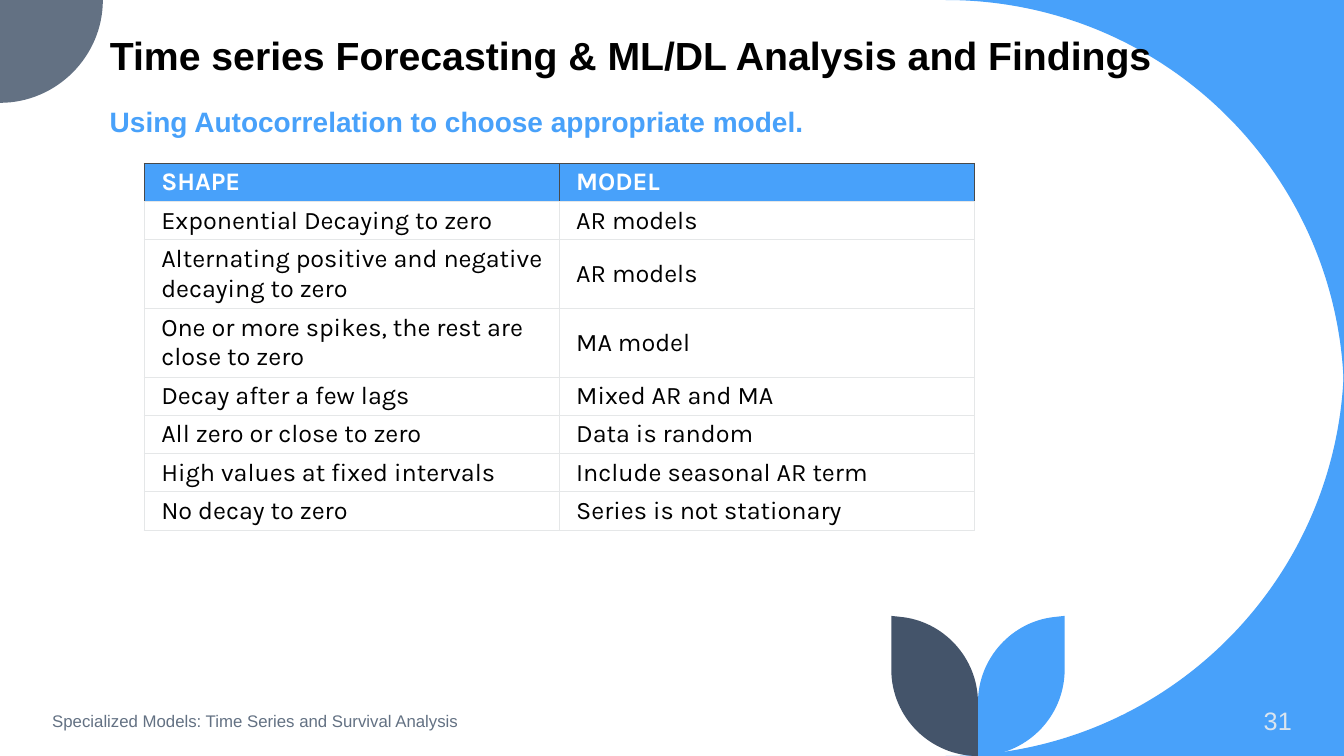
from lxml import etree
from pptx import Presentation
from pptx.dml.color import RGBColor
from pptx.enum.text import MSO_ANCHOR, MSO_AUTO_SIZE, PP_ALIGN
from pptx.oxml.ns import qn
from pptx.util import Inches, Pt

MIDDLE, BOTTOM = MSO_ANCHOR.MIDDLE, MSO_ANCHOR.BOTTOM
LEFT, RIGHT = PP_ALIGN.LEFT, PP_ALIGN.RIGHT
NO_FIT = MSO_AUTO_SIZE.NONE

COLORS = {"blue": "48A1FA", "slate": "637183", "navy": "44546A",
          "black": "000000", "white": "FFFFFF", "pale": "DAE5EF",
          "rule": "E5E7E8", "dark": "48494A"}
WIDE, HIGH = 13.33, 7.5

TITLE = "Time series Forecasting & ML/DL Analysis and Findings"
LEAD = "Using Autocorrelation to choose appropriate model."
FOOTER = "Specialized Models: Time Series and Survival Analysis"
NUMBER = "31"
ROWS = [
    ("SHAPE", "MODEL"),
    ("Exponential Decaying to zero", "AR models"),
    ("Alternating positive and negative decaying to zero", "AR models"),
    ("One or more spikes, the rest are close to zero", "MA model"),
    ("Decay after a few lags", "Mixed AR and MA"),
    ("All zero or close to zero", "Data is random"),
    ("High values at fixed intervals", "Include seasonal AR term"),
    ("No decay to zero", "Series is not stationary"),
]
TALL = {2, 3}  # rows whose text takes two lines

# Outlines: two numbers are a corner, six are a Bezier curve
CORNER = [(WIDE, 0), (9.38, 0), (11.57, 0, WIDE, 1.77, WIDE, 3.95)]
DISC = [(0, 0), (1.02, 0), (1.02, 0.56, 0.56, 1.02, 0, 1.02)]
LEAF = [(10.56, 6.11), (10.56, 6.64), (10.56, 7.12, 10.17, 7.5, 9.7, 7.5),
        (9.7, 6.97), (9.7, 6.53, 10.04, 6.16, 10.47, 6.12)]
STEM = 9.7


def mirror(outline, x=None, y=None):
    axes = (x, y)
    return [tuple(v if axes[i % 2] is None else 2 * axes[i % 2] - v
                  for i, v in enumerate(part)) for part in outline]


def draw(slide, outline, color):
    dots = [(Inches(part[i]), Inches(part[i + 1]))
            for part in outline for i in range(0, len(part), 2)]
    pen = slide.shapes.build_freeform(*dots[0])
    pen.add_line_segments(dots[1:], close=True)
    shape = pen.convert_to_shape()
    shape.shadow.inherit = False
    shape.fill.solid()
    shape.fill.fore_color.rgb = RGBColor.from_string(COLORS[color])
    shape.line.fill.background()

    # Join the three points of each curve into one Bezier segment
    lines = iter(list(shape.element.iter(qn("a:lnTo"))))
    for part in outline[1:]:
        first = next(lines)
        if len(part) == 6:
            first.tag = qn("a:cubicBezTo")
            for line in (next(lines), next(lines)):
                first.append(line[0])
                line.getparent().remove(line)


def write(frame, text, size, color, font="Arial", bold=False, align=LEFT,
          space=None, before=0):
    frame.word_wrap = True
    para = frame.paragraphs[0]
    para.alignment, para.line_spacing = align, space
    para.space_before = Pt(before)
    run = para.add_run()
    run.text = text
    run.font.name, run.font.size, run.font.bold = font, Pt(size), bold
    run.font.color.rgb = RGBColor.from_string(COLORS[color])


def label(slide, place, text, size, color, anchor=None, **look):
    box = slide.shapes.add_textbox(*map(Inches, place))
    box.text_frame.vertical_anchor = anchor
    write(box.text_frame, text, size, color, **look)


def border(cell, side, color):
    line = etree.SubElement(cell._tc.get_or_add_tcPr(), qn("a:ln" + side),
                            w="9525")
    fill = etree.SubElement(line, qn("a:solidFill"))
    etree.SubElement(fill, qn("a:srgbClr"), val=COLORS[color])


def add_grid(slide):
    highs = [0.68 if i in TALL else 0.38 for i in range(len(ROWS))]
    grid = slide.shapes.add_table(len(ROWS), 2, Inches(1.43), Inches(1.62),
                                  Inches(8.23), Inches(sum(highs))).table
    for i, row in enumerate(ROWS):
        head = i == 0
        grid.rows[i].height = Inches(highs[i])
        for j, text in enumerate(row):
            cell = grid.cell(i, j)
            cell.vertical_anchor = MIDDLE
            cell.margin_left, cell.margin_right = Inches(0.17), Inches(0.15)
            cell.margin_top = cell.margin_bottom = Inches(0.04)
            for side in "LRTB":
                border(cell, side, "dark" if head and side != "B" else "rule")
            cell.fill.solid()
            cell.fill.fore_color.rgb = RGBColor.from_string(
                COLORS["blue" if head else "white"])
            write(cell.text_frame, text, 18, "white" if head else "black",
                  font="Karla", bold=head)


def main():
    deck = Presentation()
    deck.slide_width, deck.slide_height = Inches(WIDE), Inches(HIGH)
    slide = deck.slides.add_slide(deck.slide_layouts[5])

    # Backdrop: mirrored corners, disc and a pair of leaves
    draw(slide, CORNER, "blue")
    draw(slide, mirror(CORNER, y=HIGH / 2), "blue")
    draw(slide, DISC, "slate")
    draw(slide, LEAF, "blue")
    draw(slide, mirror(LEAF, x=STEM), "navy")

    # Title, brought in front of the backdrop
    title = slide.shapes.title
    title.left, title.top = Inches(0.99), Inches(0.01)
    title.width, title.height = Inches(10.69), Inches(0.82)
    title.text_frame.auto_size = NO_FIT
    title.text_frame.vertical_anchor = BOTTOM
    write(title.text_frame, TITLE, 28, "black", bold=True, space=0.9)
    title.element.getparent().append(title.element)

    # Footer, lead line and table
    label(slide, (0.42, 6.95, 4.44, 0.4), FOOTER, 12, "slate", anchor=MIDDLE)
    label(slide, (11.1, 6.95, 1.81, 0.4), NUMBER, 18, "pale", anchor=MIDDLE,
          align=RIGHT)
    label(slide, (0.99, 1.03, 9.27, 0.4), LEAD, 20, "blue", bold=True,
          space=0.9, before=10)
    add_grid(slide)
    deck.save("out.pptx")


if __name__ == "__main__":
    main()
